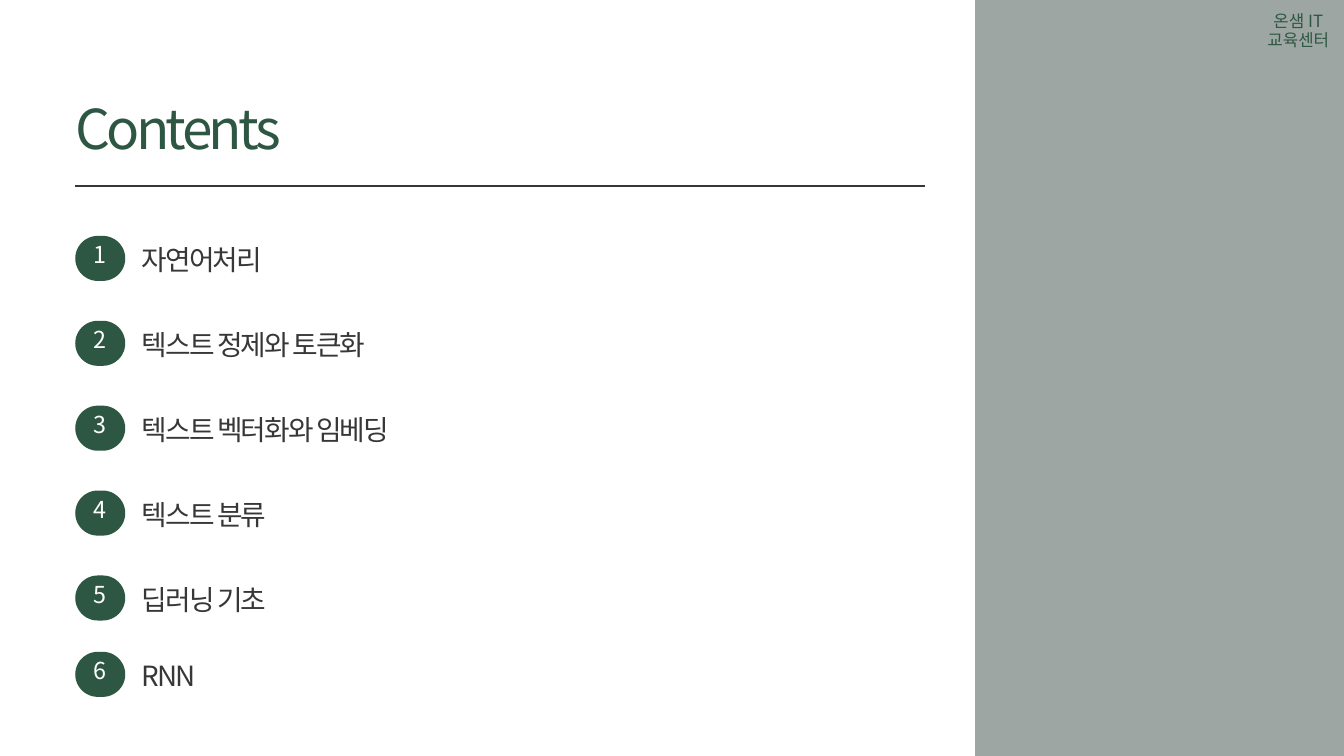
from dataclasses import dataclass

from lxml.etree import SubElement
from pptx import Presentation
from pptx.dml.color import RGBColor
from pptx.enum.shapes import MSO_CONNECTOR, MSO_SHAPE
from pptx.enum.text import MSO_ANCHOR, PP_ALIGN
from pptx.oxml.ns import qn
from pptx.util import Inches, Pt

LEFT, CENTER = PP_ALIGN.LEFT, PP_ALIGN.CENTER
TOP, MIDDLE = MSO_ANCHOR.TOP, MSO_ANCHOR.MIDDLE
RECT, ROUND = MSO_SHAPE.RECTANGLE, MSO_SHAPE.ROUNDED_RECTANGLE
STRAIGHT = MSO_CONNECTOR.STRAIGHT

WIDTH, HEIGHT = 20, 11.25
FONT = "Noto Sans CJK KR"
GREEN, GRAY, DARK, WHITE = "2E5743", "9DA6A2", "373737", "FFFFFF"

MARGIN, INDENT = 5.6, 10.55
FIRST, PITCH, LAST = 31.2, 11.23, 86.22
TOPICS = [
    "자연어처리",
    "텍스트 정제와 토큰화",
    "텍스트 벡터화와 임베딩",
    "텍스트 분류",
    "딥러닝 기초",
    "RNN",
]


@dataclass
class Box:
    """Percent shares of the slide's width and height."""
    x: float
    y: float
    w: float
    h: float

    def place(self) -> tuple:
        return across(self.x), down(self.y), across(self.w), down(self.h)


@dataclass
class Style:
    size: float
    color: str
    lead: object
    track: int = 0
    align: object = LEFT
    anchor: object = TOP


TITLE = Style(58.8, GREEN, Pt(82.3), -390)
TOPIC = Style(29.8, DARK, Pt(41.7), -200)
DIGIT = Style(25, WHITE, Pt(35), 0, CENTER, MIDDLE)
CORNER = Style(18, GREEN, 0.9, 0, CENTER)


def across(share: float) -> int:
    return Inches(WIDTH * share / 100)


def down(share: float) -> int:
    return Inches(HEIGHT * share / 100)


def color(code: str) -> RGBColor:
    return RGBColor.from_string(code)


def add_block(slide, kind, box: Box, fill: str):
    block = slide.shapes.add_shape(kind, *box.place())
    block.shadow.inherit = False
    block.fill.solid()
    block.fill.fore_color.rgb = color(fill)
    block.line.fill.background()
    return block


def add_text(slide, box: Box, lines: list[str], style: Style) -> None:
    frame = slide.shapes.add_textbox(*box.place()).text_frame
    frame.word_wrap = True
    frame.vertical_anchor = style.anchor
    frame.margin_left = frame.margin_right = 0
    frame.margin_top = frame.margin_bottom = 0
    frame.text = "\n".join(lines)
    for para in frame.paragraphs:
        para.alignment = style.align
        para.line_spacing = style.lead
        font = para.font
        font.size = Pt(style.size)
        font.name = FONT
        font.color.rgb = color(style.color)
        font._rPr.set("spc", str(style.track))
        SubElement(font._rPr, qn("a:ea"), typeface=FONT)


def add_rule(slide, start: float, end: float, y: float) -> None:
    rule = slide.shapes.add_connector(
        STRAIGHT, across(start), down(y), across(end), down(y))
    rule.line.color.rgb = color(DARK)
    rule.line.width = Pt(1.5)
    SubElement(rule._element.spPr, qn("a:effectLst"))


def add_topic(slide, number: int, topic: str, y: float) -> None:
    badge = add_block(slide, ROUND, Box(MARGIN, y, 3.72, 5.96), GREEN)
    badge.adjustments[0] = 0.5
    add_text(slide, Box(MARGIN, y - 1.74, 3.72, 7.7), [str(number)], DIGIT)
    add_text(slide, Box(INDENT, y + 0.18, 27.2, 4.8), [topic], TOPIC)


def main() -> None:
    deck = Presentation()
    deck.slide_width, deck.slide_height = Inches(WIDTH), Inches(HEIGHT)
    slide = deck.slides.add_slide(deck.slide_layouts[6])

    add_block(slide, RECT, Box(72.55, 0, 27.45, 100), GRAY)
    add_text(slide, Box(93.85, 1.78, 5.5, 6), ["온샘 IT", "교육센터"], CORNER)
    add_rule(slide, MARGIN, 68.8, 24.62)
    add_text(slide, Box(MARGIN, 11.02, 50.75, 9.42), ["Contents"], TITLE)

    tops = [FIRST + PITCH * row for row in range(len(TOPICS) - 1)] + [LAST]
    for number, (topic, y) in enumerate(zip(TOPICS, tops), 1):
        add_topic(slide, number, topic, y)

    deck.save("out.pptx")


if __name__ == "__main__":
    main()
